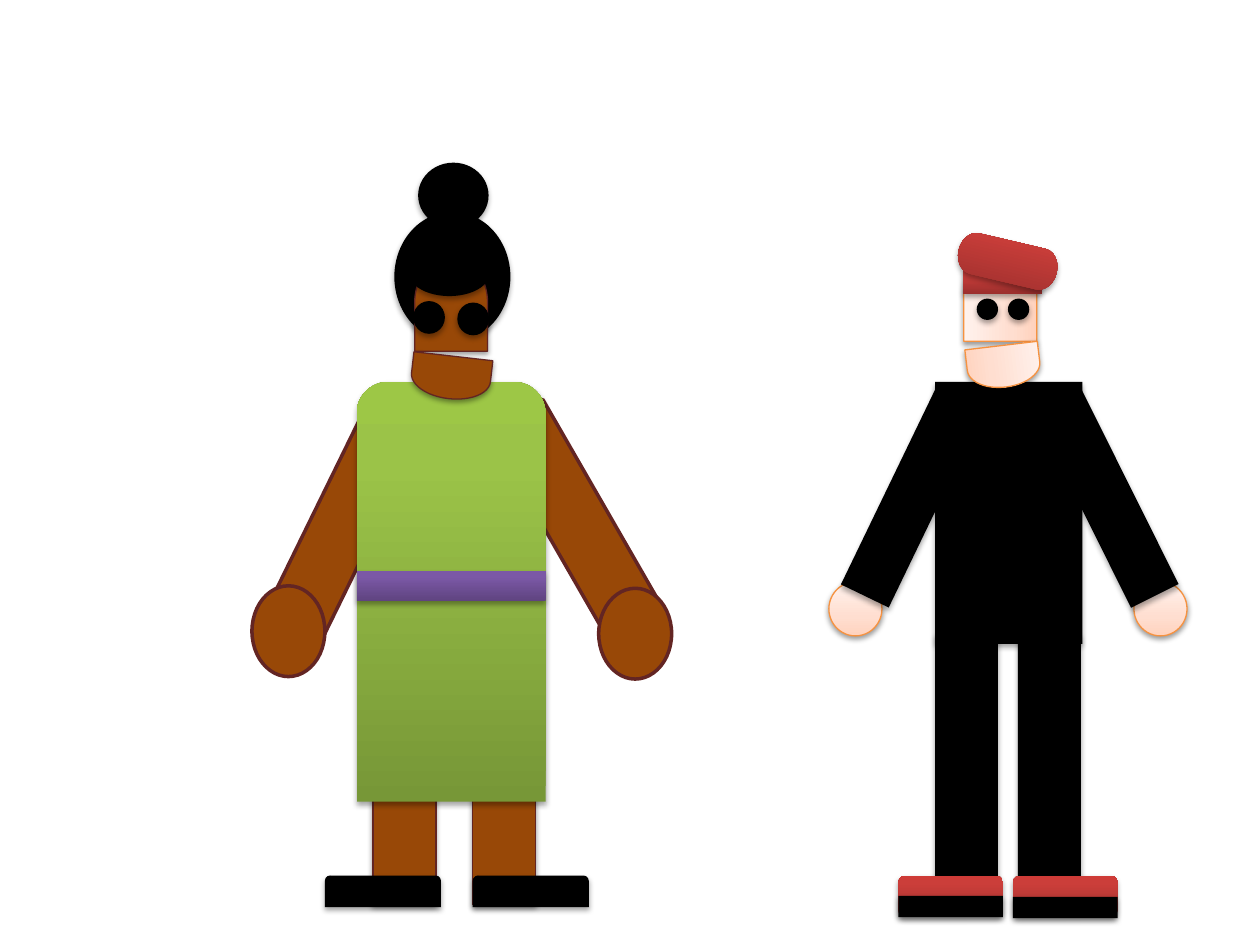
from lxml import etree
from pptx import Presentation
from pptx.dml.color import RGBColor
from pptx.enum.shapes import MSO_SHAPE
from pptx.oxml.ns import qn
from pptx.util import Cm, Pt

OVAL = MSO_SHAPE.OVAL
RECT = MSO_SHAPE.RECTANGLE
ROUND = MSO_SHAPE.ROUNDED_RECTANGLE
TOP = MSO_SHAPE.ROUND_2_SAME_RECTANGLE
PROC = MSO_SHAPE.FLOWCHART_PROCESS
DELAY = MSO_SHAPE.FLOWCHART_DELAY
PILL = MSO_SHAPE.FLOWCHART_TERMINATOR

BLACK = RGBColor(0x00, 0x00, 0x00)
BROWN = RGBColor(0x98, 0x48, 0x07)
MAROON = RGBColor(0x63, 0x25, 0x23)
ORANGE = RGBColor(0xF6, 0x92, 0x40)


def blend(mid, *codes):
    """Gradient stops at 0, mid and 100 percent."""
    return [(pos, RGBColor.from_string(code)) for pos, code in zip((0, mid, 100), codes)]


PEACH = blend(35, "FFD2BD", "FFDED0", "FFF2ED")
RED = blend(80, "9C2F2D", "CB3E3A", "CE3B37")
GREEN = blend(80, "779737", "9BC348", "9DC746")
PURPLE = blend(80, "5F4480", "7B58A6", "7C57A8")

# Shadows: opacity in percent, blur and distance in points
DEEP = (35, 3.1, 1.8)
SOFT = (38, 3.1, 1.6)

# Looks: fill, line (colour, width), shadow
INK = (BLACK, None, DEEP)
FAIR = (PEACH, (ORANGE, 0.75), SOFT)
DARK = (BROWN, (MAROON, 0.75), SOFT)
LIMB = (BROWN, (MAROON, 2), None)
SCARF = (RED, None, DEEP)
DRESS = (GREEN, None, DEEP)
BELT = (PURPLE, None, DEEP)

# Parts: preset, look, width, height, places (left, top, turn) in cm and degrees
BUN = [(OVAL, INK, 1.42, 1.32, [(8.43, 3.28, 0)])]
MAN = [
    # Hands and arms
    (OVAL, FAIR, 1.07, 1.09, [(22.86, 11.73, 0), (16.71, 11.73, 0)]),
    (PROC, INK, 1.07, 4.51, [(17.88, 7.73, 25.8), (21.74, 7.74, 333.5)]),
    # Face
    (DELAY, FAIR, 1.93, 1.47, [(19.2, 5.18, 270)]),
    # Legs, shoes, soles
    (RECT, INK, 1.27, 4.88, [(18.85, 12.78, 0), (20.52, 12.78, 0)]),
    (ROUND, SCARF, 2.11, 0.84, [(20.42, 17.65, 0), (18.11, 17.65, 0)]),
    (RECT, INK, 2.11, 0.43, [(20.42, 18.08, 0), (18.11, 18.06, 0)]),
    # Torso, jaw, cap
    (RECT, INK, 2.97, 5.28, [(18.85, 7.7, 0)]),
    (DELAY, FAIR, 0.84, 1.47, [(19.81, 6.65, 83.2)]),
    (RECT, SCARF, 1.6, 0.48, [(19.41, 5.44, 0)]),
    (PILL, SCARF, 2.03, 0.84, [(19.3, 4.85, 13.2)]),
    # Eyes
    (OVAL, INK, 0.43, 0.43, [(19.69, 6.02, 0), (20.32, 6.02, 0)]),
]
WOMAN = [
    # Arms, hair, legs
    (RECT, LIMB, 1.27, 4.78, [(10.95, 8.05, 330.1), (6.35, 8.05, 26.1)]),
    (OVAL, INK, 2.34, 2.62, [(7.95, 4.27, 0)]),
    (RECT, DARK, 1.27, 2.31, [(9.53, 15.93, 0), (7.52, 15.93, 0)]),
    # Dress and belt
    (TOP, DRESS, 3.81, 8.46, [(7.19, 7.7, 0)]),
    (RECT, BELT, 3.81, 0.61, [(7.19, 11.51, 0)]),
    # Face, fringe, eyes
    (DELAY, DARK, 1.93, 1.47, [(8.13, 5.38, 270)]),
    (OVAL, INK, 1.6, 0.89, [(8.26, 5.08, 0)]),
    (OVAL, INK, 0.64, 0.66, [(8.33, 6.07, 0), (9.22, 6.1, 0)]),
    # Hands
    (OVAL, LIMB, 1.47, 1.83, [(12.07, 11.86, 0), (5.08, 11.81, 0)]),
]
FRONT = [
    # Jaw and shoes
    (DELAY, DARK, 0.86, 1.6, [(8.66, 6.81, 96.5)]),
    (TOP, INK, 2.34, 0.64, [(9.53, 17.65, 0), (6.55, 17.65, 0)]),
]


def shade(shape, fill):
    if isinstance(fill, RGBColor):
        shape.fill.solid()
        shape.fill.fore_color.rgb = fill
        return
    shape.fill.gradient()
    shape.fill.gradient_angle = 90
    stops = shape._element.spPr.find(".//" + qn("a:gsLst"))
    for old in list(stops):
        stops.remove(old)
    for pos, tint in fill:
        stop = etree.SubElement(stops, qn("a:gs"), pos=str(pos * 1000))
        etree.SubElement(stop, qn("a:srgbClr"), val=str(tint))


def cast(shape, shadow):
    shape.shadow.inherit = False
    if shadow:
        alpha, blur, dist = shadow
        effects = shape._element.spPr.find(qn("a:effectLst"))
        outer = etree.SubElement(
            effects, qn("a:outerShdw"), blurRad=str(Pt(blur)),
            dist=str(Pt(dist)), dir="5400000", rotWithShape="0")
        tint = etree.SubElement(outer, qn("a:srgbClr"), val=str(BLACK))
        etree.SubElement(tint, qn("a:alpha"), val=str(alpha * 1000))


def draw(shapes, parts):
    for kind, (fill, line, shadow), wide, high, places in parts:
        for left, top, turn in places:
            shape = shapes.add_shape(kind, Cm(left), Cm(top), Cm(wide), Cm(high))
            shape.rotation = turn
            shade(shape, fill)
            if line:
                shape.line.color.rgb, shape.line.width = line[0], Pt(line[1])
            else:
                shape.line.fill.background()
            cast(shape, shadow)


prs = Presentation()
prs.slide_width, prs.slide_height = Cm(25.4), Cm(19.05)
slide = prs.slides.add_slide(prs.slide_layouts[6])
draw(slide.shapes, BUN + MAN)
draw(slide.shapes.add_group_shape().shapes, WOMAN)
draw(slide.shapes, FRONT)
prs.save("out.pptx")
